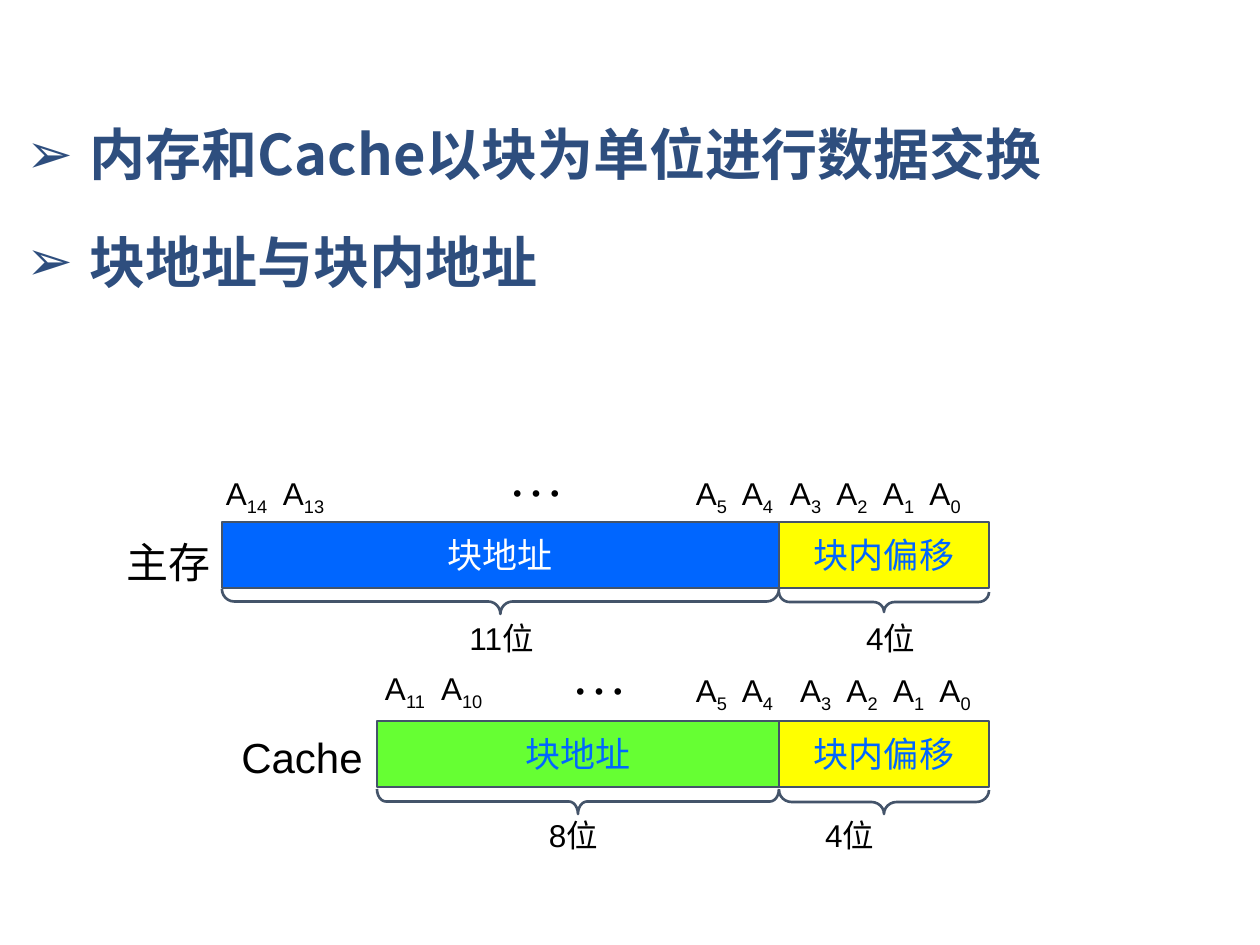
import pptx
import pptx.util
import pptx.dml.color
import pptx.enum.shapes
import pptx.enum.text
from dataclasses import dataclass
from lxml import etree


@dataclass(frozen=True)
class Theme:
    heading: str = "2E4E7E"
    ink: str = "000000"
    outline: str = "44546A"
    blue: str = "0066FF"
    green: str = "66FF33"
    yellow: str = "FFFF00"
    white: str = "FFFFFF"
    cjk: str = "Noto Sans CJK SC"
    latin: str = "Arial"
    serif: str = "Times New Roman"
    point_size: int = 32
    name_size: int = 24
    field_size: int = 20
    bit_size: int = 18
    line: float = 1.5


THEME = Theme()
POINTS = ["内存和Cache以块为单位进行数据交换", "块地址与块内地址"]
SPLIT, RIGHT, BAR_HEIGHT = 779, 989, 66

MEMORIES = [
    {
        "name": "主存", "name_box": (117, 536, 103, 42), "top": 522,
        "fields": [
            ("块地址", 222, SPLIT, THEME.blue, THEME.white, 0.49, 25, 1),
            ("块内偏移", SPLIT, RIGHT, THEME.yellow, THEME.blue, 0.53, 20, 4),
        ],
        "bits": [((14, 13), 226, 474, 57), ((5, 4), 696, 474, 46), ((3, 2, 1, 0), 790, 474, 46.5)],
        "dots": (452, 441),
        "widths": [("11位", 460), ("4位", 849)], "width_top": 619,
    },
    {
        "name": "Cache", "name_box": (232, 731, 140, 45), "top": 721,
        "fields": [
            ("块地址", 377, SPLIT, THEME.green, THEME.blue, 0.36, 25, 2),
            ("块内偏移", SPLIT, RIGHT, THEME.yellow, THEME.blue, 0.53, 24, 3),
        ],
        "bits": [((11, 10), 385, 669, 56), ((5, 4), 696, 671, 46), ((3, 2, 1, 0), 800, 671, 46.5)],
        "dots": (515, 639),
        "widths": [("8位", 532), ("4位", 808)], "width_top": 816,
    },
]

A = "{http://schemas.openxmlformats.org/drawingml/2006/main}"
LEFT = pptx.enum.text.PP_ALIGN.LEFT
CENTER = pptx.enum.text.PP_ALIGN.CENTER
MIDDLE = pptx.enum.text.MSO_ANCHOR.MIDDLE
SHAPES = pptx.enum.shapes.MSO_SHAPE


def px(n):
    return round(n * 914400 / 126)


def rgb(color):
    return pptx.dml.color.RGBColor.from_string(color)


def add_run(paragraph, text, size, color, font, bold=False, baseline=0):
    run = paragraph.add_run()
    run.text = text
    run.font.size = pptx.util.Pt(size)
    run.font.color.rgb = rgb(color)
    run.font.name = font
    run.font.bold = bold
    properties = run.font._element
    if font == THEME.cjk:
        latin = properties.find(A + "latin")
        latin.addnext(etree.Element(A + "ea", typeface=font))
    if baseline:
        properties.set("baseline", str(baseline * 1000))


def add_label(slide, box, align=CENTER):
    frame = slide.shapes.add_textbox(*map(px, box)).text_frame
    frame.word_wrap = True
    frame.margin_left = frame.margin_right = frame.margin_top = frame.margin_bottom = 0
    frame.paragraphs[0].alignment = align
    return frame.paragraphs[0]


def add_outlined(slide, kind, box):
    shape = slide.shapes.add_shape(kind, *map(px, box))
    shape.shadow.inherit = False
    shape.line.color.rgb = rgb(THEME.outline)
    shape.line.width = pptx.util.Pt(THEME.line)
    return shape


def add_points(slide):
    slide.shapes.title._element.getparent().remove(slide.shapes.title._element)
    body = slide.placeholders[1]
    body.left, body.top, body.width, body.height = map(px, (14, 59, 1231, 304))
    frame = body.text_frame
    frame.auto_size = pptx.enum.text.MSO_AUTO_SIZE.NONE
    frame.vertical_anchor = MIDDLE
    for i, point in enumerate(POINTS):
        paragraph = frame.add_paragraph() if i else frame.paragraphs[0]
        properties = paragraph._p.get_or_add_pPr()
        properties.set("marL", str(px(63)))
        properties.set("indent", str(px(-63)))
        etree.SubElement(properties, A + "buChar", char="➢")
        paragraph.line_spacing = 0.9
        paragraph.space_before = pptx.util.Pt(27 if i else 0)
        add_run(paragraph, point, THEME.point_size, THEME.heading, THEME.cjk, bold=True)


def add_field(slide, top, field):
    text, left, right, fill, color, curl, depth, gap = field
    width = right - left
    bar = add_outlined(slide, SHAPES.RECTANGLE, (left, top, width, BAR_HEIGHT))
    bar.fill.solid()
    bar.fill.fore_color.rgb = rgb(fill)
    bar.text_frame.vertical_anchor = MIDDLE
    paragraph = bar.text_frame.paragraphs[0]
    paragraph.alignment = CENTER
    add_run(paragraph, text, THEME.field_size, color, THEME.cjk)

    middle_x = (left + right) / 2
    middle_y = top + BAR_HEIGHT + gap + depth / 2
    brace = add_outlined(slide, SHAPES.LEFT_BRACE,
                         (middle_x - depth / 2, middle_y - width / 2, depth, width))
    brace.fill.background()
    brace.rotation = 270
    brace.adjustments[0] = curl


def add_bits(slide, numbers, left, top, pitch):
    paragraph = add_label(slide, (left, top, pitch * len(numbers) + 10, 44), LEFT)
    stops = etree.SubElement(paragraph._p.get_or_add_pPr(), A + "tabLst")
    for i, number in enumerate(numbers):
        if i:
            etree.SubElement(stops, A + "tab", pos=str(px(pitch * i)), algn="l")
        prefix = "\t" if i else ""
        add_run(paragraph, prefix + "A", THEME.bit_size, THEME.ink, THEME.latin)
        add_run(paragraph, str(number), THEME.bit_size, THEME.ink, THEME.latin, baseline=-25)


def add_memory(slide, memory):
    add_run(add_label(slide, memory["name_box"]), memory["name"],
            THEME.name_size, THEME.ink, THEME.latin)
    for field in memory["fields"]:
        add_field(slide, memory["top"], field)
    for bits in memory["bits"]:
        add_bits(slide, *bits)
    add_run(add_label(slide, (*memory["dots"], 168, 53)), "…",
            THEME.point_size, THEME.ink, THEME.serif)
    for text, left in memory["widths"]:
        add_run(add_label(slide, (left, memory["width_top"], 83, 44)), text,
                THEME.bit_size, THEME.ink, THEME.latin)


def main():
    deck = pptx.Presentation()
    deck.slide_width, deck.slide_height = px(1260), px(945)
    slide = deck.slides.add_slide(deck.slide_layouts[1])
    add_points(slide)
    for memory in MEMORIES:
        add_memory(slide, memory)
    deck.save("out.pptx")


if __name__ == "__main__":
    main()
